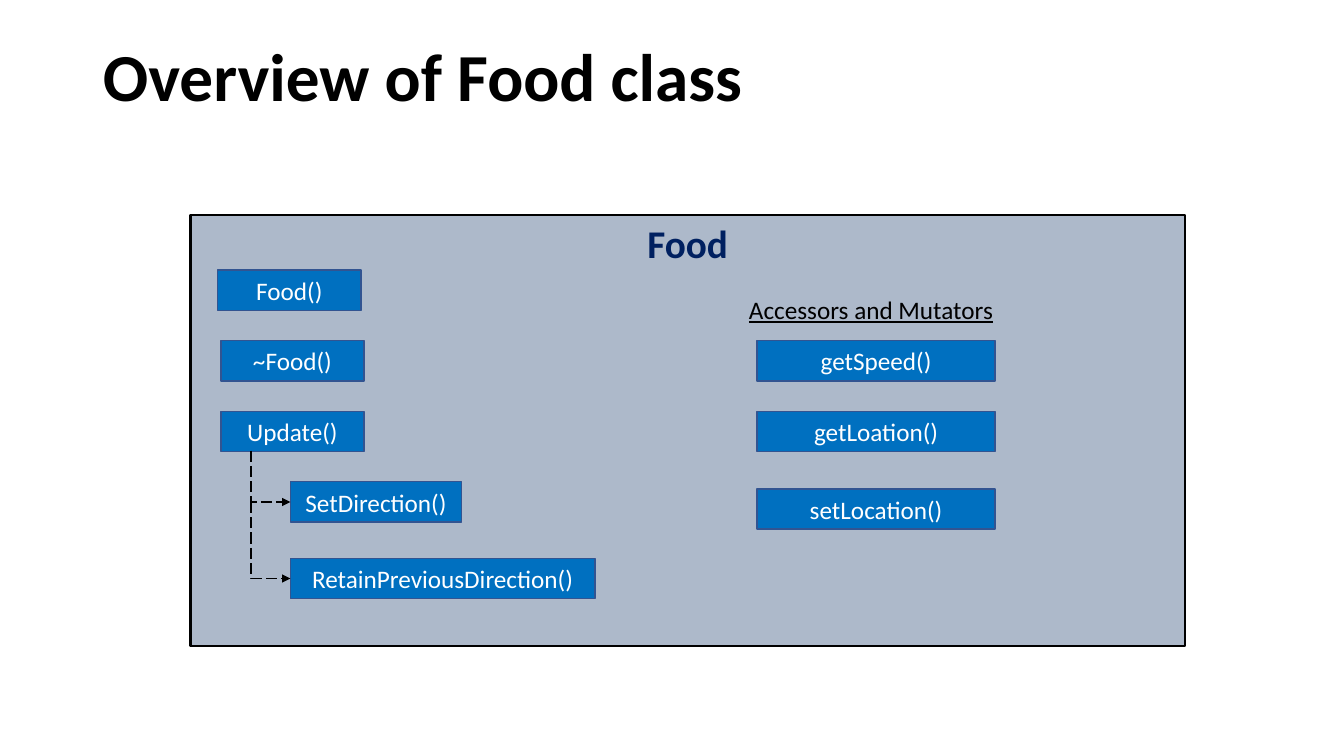
from lxml import etree
from pptx import Presentation
from pptx.dml.color import RGBColor
from pptx.enum.dml import MSO_LINE
from pptx.enum.shapes import MSO_CONNECTOR, MSO_SHAPE
from pptx.enum.text import MSO_ANCHOR, MSO_AUTO_SIZE, PP_ALIGN
from pptx.oxml.ns import qn
from pptx.util import Inches, Pt


def write(sp, text, size=18, color="FFFFFF", bold=False, underline=False,
          align=PP_ALIGN.CENTER, anchor=MSO_ANCHOR.MIDDLE, spacing=1.0):
    tf = sp.text_frame
    tf.word_wrap = True
    tf.auto_size = MSO_AUTO_SIZE.NONE
    tf.vertical_anchor = anchor
    p = tf.paragraphs[0]
    p.alignment, p.line_spacing = align, spacing
    r = p.add_run()
    r.text = text
    r.font.name, r.font.size = "Calibri", Pt(size)
    r.font.bold, r.font.underline = bold, underline
    r.font.color.rgb = RGBColor.from_string(color)


def add_box(left, top, width, height, fill, line, weight):
    sp = s.shapes.add_shape(MSO_SHAPE.RECTANGLE, *map(Inches, (left, top, width, height)))
    sp.shadow.inherit = False
    sp.fill.solid()
    sp.fill.fore_color.rgb = RGBColor.from_string(fill)
    sp.line.color.rgb = RGBColor.from_string(line)
    sp.line.width = Pt(weight)
    return sp


prs = Presentation()
prs.slide_width, prs.slide_height = Inches(13.33), Inches(7.5)
s = prs.slides.add_slide(prs.slide_layouts[5])

title = s.shapes.title
title.left, title.top, title.width, title.height = map(Inches, (0.92, 0.4, 11.5, 0.78))
write(title, "Overview of Food class", size=48, color="000000", bold=True,
      align=PP_ALIGN.LEFT, spacing=0.9)

food_class = add_box(1.89, 2.13, 9.86, 4.28, "ADB9CA", "000000", 1.5)
write(food_class, "Food", size=28, color="002060", bold=True, anchor=MSO_ANCHOR.TOP)

# Methods: name, left, top, width
ROW_H = 0.4
MAIN_X, HELPER_X, ACCESSOR_X = 2.19, 2.88, 7.51
MAIN_W, ACCESSOR_W = 1.42, 2.36
methods = [
    ("Food()", 2.16, 2.68, MAIN_W),
    ("~Food()", MAIN_X, 3.38, MAIN_W),
    ("Update()", MAIN_X, 4.08, MAIN_W),
    ("SetDirection()", HELPER_X, 4.78, 1.7),
    ("RetainPreviousDirection()", HELPER_X, 5.54, 3.02),
    ("getSpeed()", ACCESSOR_X, 3.38, ACCESSOR_W),
    ("getLoation()", ACCESSOR_X, 4.08, ACCESSOR_W),
    ("setLocation()", ACCESSOR_X, 4.85, ACCESSOR_W),
]
for name, left, top, width in methods:
    write(add_box(left, top, width, ROW_H, "0070C0", "325491", 1), name)

# Dashed calls run down from Update(), then right to each helper
CALL_X = 2.49
run = HELPER_X - CALL_X
for start, end in [(4.47, 4.98), (4.98, 5.74)]:
    drop = end - start
    mid_x, mid_y = CALL_X + run / 2, (start + end) / 2
    # The unrotated frame has its width along the drop; a quarter turn stands it up
    call = s.shapes.add_connector(
        MSO_CONNECTOR.ELBOW, Inches(mid_x + drop / 2), Inches(mid_y - run / 2),
        Inches(mid_x - drop / 2), Inches(mid_y + run / 2))
    sp_pr = call._element.spPr
    sp_pr.find(qn("a:xfrm")).set("rot", str(270 * 60000))
    sp_pr.find(qn("a:prstGeom")).set("prst", "bentConnector2")
    call.line.color.rgb = RGBColor.from_string("000000")
    call.line.width = Pt(1)
    call.line.dash_style = MSO_LINE.LONG_DASH
    etree.SubElement(sp_pr.find(qn("a:ln")), qn("a:tailEnd"), type="triangle")
    etree.SubElement(sp_pr, qn("a:effectLst"))

heading = s.shapes.add_textbox(*map(Inches, (7.33, 2.87, 2.85, ROW_H)))
write(heading, "Accessors and Mutators", color="000000", underline=True,
      align=PP_ALIGN.LEFT, anchor=MSO_ANCHOR.TOP)

prs.save("out.pptx")
